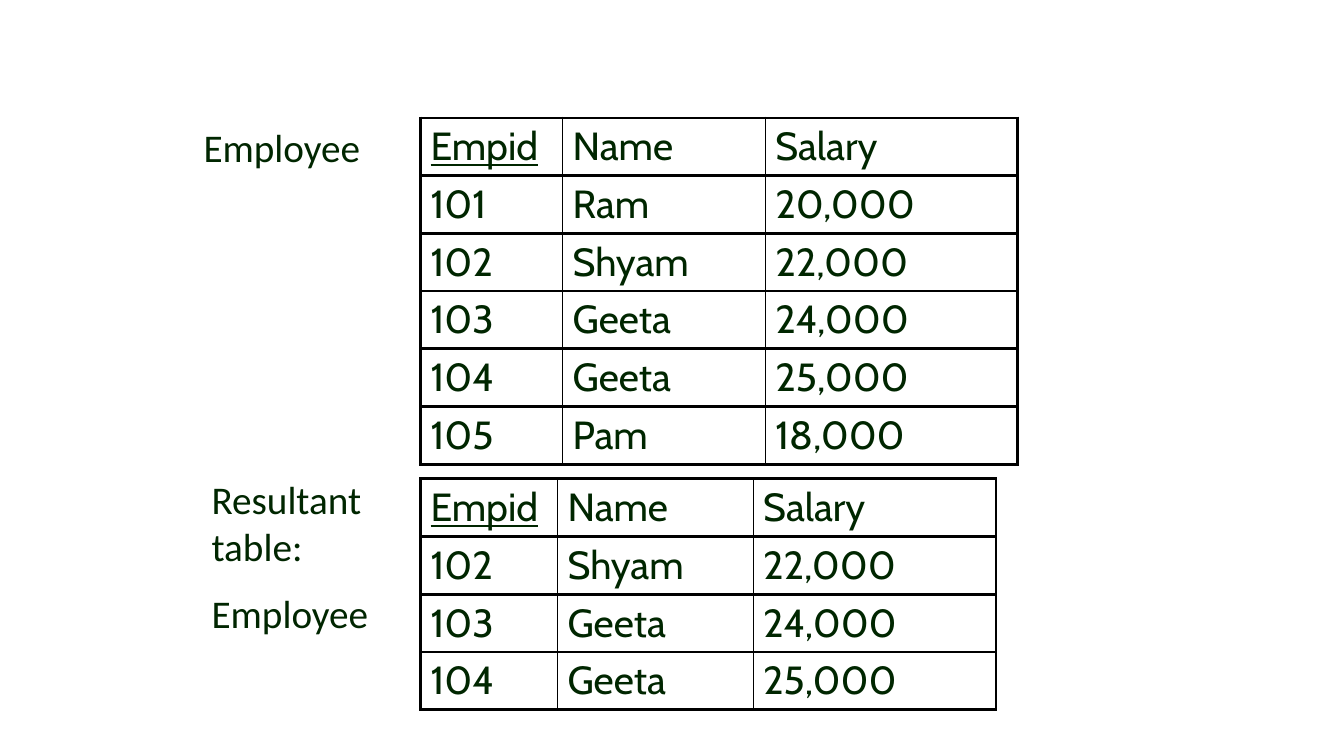
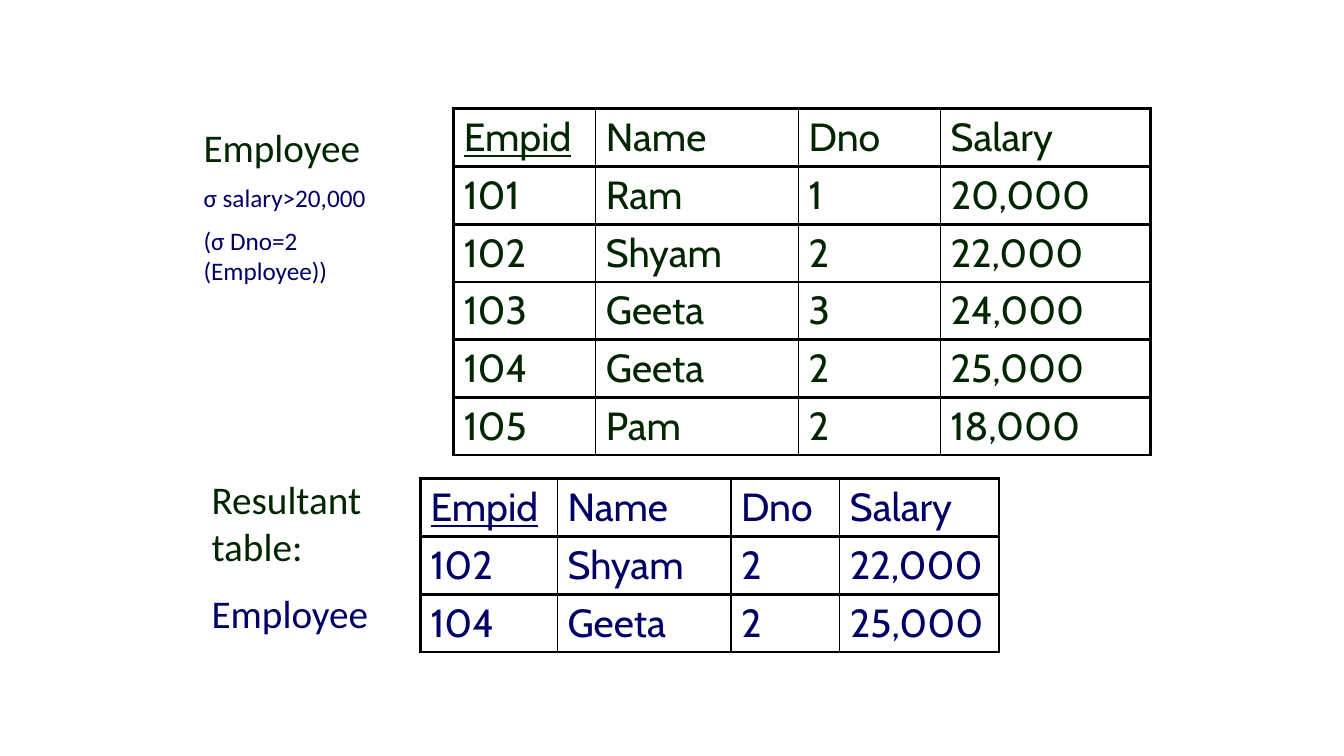
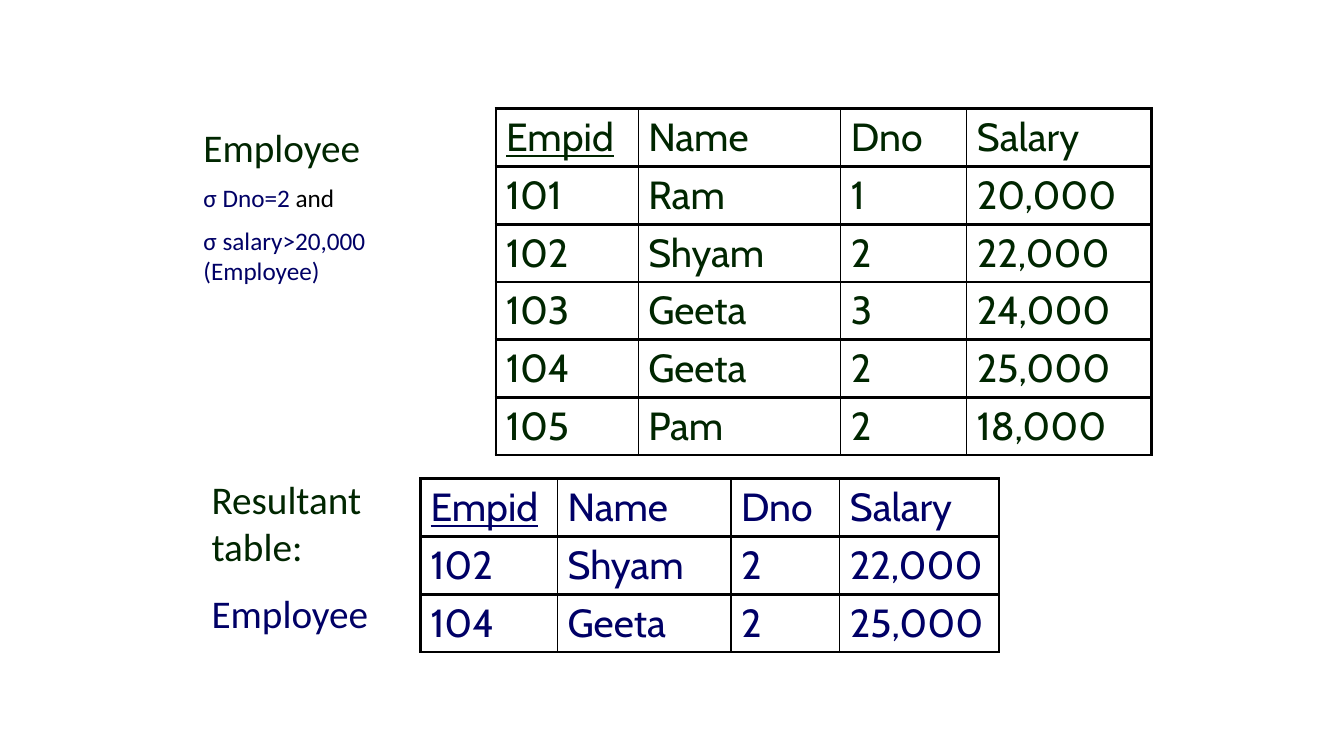
from dataclasses import dataclass

from lxml import etree
from pptx import Presentation
from pptx import util as u
from pptx.dml.color import RGBColor
from pptx.enum import text
from pptx.oxml.ns import qn


@dataclass(frozen=True)
class Theme:
    green: str = "002600"
    navy: str = "000066"
    black: str = "000000"
    cell_font: str = "Cabin"
    label_font: str = "Calibri"
    large: int = 28
    small: int = 18
    outer_line: float = 2.25
    inner_line: float = 1
    row_height: float = 0.57


@dataclass(frozen=True)
class Employee:
    empid: int
    name: str
    dno: int
    salary: int

    def values(self, headers: list[str]) -> list[str]:
        texts = {"Empid": str(self.empid), "Name": self.name,
                 "Dno": str(self.dno), "Salary": f"{self.salary:,}"}
        return [texts[header] for header in headers]


@dataclass(frozen=True)
class Span:
    text: str
    color: str
    size: int = 28


@dataclass(frozen=True)
class Grid:
    left: float
    top: float
    columns: dict[str, float]
    employees: list[Employee]
    color: str


@dataclass(frozen=True)
class Label:
    left: float
    top: float
    width: float
    height: float
    paragraphs: list[list[Span]]


@dataclass(frozen=True)
class Page:
    source: Grid
    query: Label
    result: Grid
    result_label: Label


THEME = Theme()
EMPLOYEES = [
    Employee(101, "Ram", 1, 20000),
    Employee(102, "Shyam", 2, 22000),
    Employee(103, "Geeta", 3, 24000),
    Employee(104, "Geeta", 2, 25000),
    Employee(105, "Pam", 2, 18000),
]
WELL_PAID = [person for person in EMPLOYEES if person.salary > 20000]
WELL_PAID_IN_TWO = [person for person in WELL_PAID if person.dno == 2]


def write(para, words: str, *, font: str, size: int, color: str,
          underline: bool = False) -> None:
    run = para.add_run()
    run.text = words
    run.font.name = font
    run.font.size = u.Pt(size)
    run.font.underline = underline
    run.font.color.rgb = RGBColor.from_string(color)


def add_border(cell, side: str, points: float) -> None:
    line = etree.SubElement(cell._tc.get_or_add_tcPr(), qn(f"a:ln{side}"),
                            w=str(u.Pt(points)))
    fill = etree.SubElement(line, qn("a:solidFill"))
    etree.SubElement(fill, qn("a:srgbClr"), val=THEME.black)


def add_grid(slide, grid: Grid) -> None:
    headers = list(grid.columns)
    rows = [headers] + [person.values(headers) for person in grid.employees]
    frame = slide.shapes.add_table(
        len(rows), len(headers), u.Inches(grid.left), u.Inches(grid.top),
        u.Inches(sum(grid.columns.values())),
        u.Inches(THEME.row_height * len(rows)))
    table = frame.table
    table.first_row = table.horz_banding = False
    for column, width in zip(table.columns, grid.columns.values()):
        column.width = u.Inches(width)
    last = len(headers) - 1
    for r, row in enumerate(rows):
        table.rows[r].height = u.Inches(THEME.row_height)
        for c, words in enumerate(row):
            cell = table.cell(r, c)
            add_border(cell, "L", THEME.outer_line if c == 0 else THEME.inner_line)
            add_border(cell, "R", THEME.outer_line if c == last else THEME.inner_line)
            add_border(cell, "T", THEME.outer_line)
            add_border(cell, "B", THEME.outer_line)
            cell.fill.background()
            write(cell.text_frame.paragraphs[0], words, font=THEME.cell_font,
                  size=THEME.large, color=grid.color,
                  underline=words == "Empid")


def add_label(slide, label: Label) -> None:
    box = slide.shapes.add_textbox(u.Inches(label.left), u.Inches(label.top),
                                   u.Inches(label.width), u.Inches(label.height))
    frame = box.text_frame
    frame.word_wrap = True
    frame.auto_size = text.MSO_AUTO_SIZE.NONE
    for index, spans in enumerate(label.paragraphs):
        para = frame.add_paragraph() if index else frame.paragraphs[0]
        if index:
            para.space_before = u.Pt(spans[0].size / 2)
        for span in spans:
            write(para, span.text, font=THEME.label_font, size=span.size,
                  color=span.color)


def query_label(width: float, height: float, *conditions: list[Span]) -> Label:
    title = [Span("Employee", THEME.green)]
    return Label(1.92, 1.17, width, height, [title, *conditions])


def result_label(color: str) -> Label:
    return Label(2, 4.67, 1.92, 1.74, [[Span("Resultant table:", THEME.green)],
                                       [Span("Employee", color)]])


def condition(words: str, color: str = THEME.navy) -> Span:
    return Span(words, color, THEME.small)


def source_with_departments(left: float, dno: float, salary: float) -> Grid:
    columns = {"Empid": 1.41, "Name": 2.01, "Dno": dno, "Salary": salary}
    return Grid(left, 1.08, columns, EMPLOYEES, THEME.green)


DEPARTMENT_RESULT = Grid(
    4.17, 4.75, {"Empid": 1.36, "Name": 1.72, "Dno": 1.08, "Salary": 1.58},
    WELL_PAID_IN_TWO, THEME.navy)

PAGES = [
    Page(Grid(4.17, 1.17, {"Empid": 1.41, "Name": 2.01, "Salary": 2.5},
              EMPLOYEES, THEME.green),
         query_label(1.92, 0.57),
         Grid(4.17, 4.75, {"Empid": 1.36, "Name": 1.94, "Salary": 2.41},
              WELL_PAID, THEME.green),
         result_label(THEME.green)),
    Page(source_with_departments(4.5, 1.41, 2.08),
         query_label(2.25, 2.95, [condition("σ salary>20,000")],
                     [condition("(σ Dno=2 (Employee))")]),
         DEPARTMENT_RESULT, result_label(THEME.navy)),
    Page(source_with_departments(4.92, 1.25, 1.83),
         query_label(2.83, 2.95,
                     [condition("σ Dno=2"), condition(" and", THEME.black)],
                     [condition("σ salary>20,000 (Employee)")]),
         DEPARTMENT_RESULT, result_label(THEME.navy)),
]


def main() -> None:
    deck = Presentation()
    deck.slide_width, deck.slide_height = u.Inches(13.33), u.Inches(7.5)
    for page in PAGES:
        slide = deck.slides.add_slide(deck.slide_layouts[6])
        add_grid(slide, page.source)
        add_label(slide, page.query)
        add_grid(slide, page.result)
        add_label(slide, page.result_label)
    deck.save("out.pptx")


if __name__ == "__main__":
    main()
